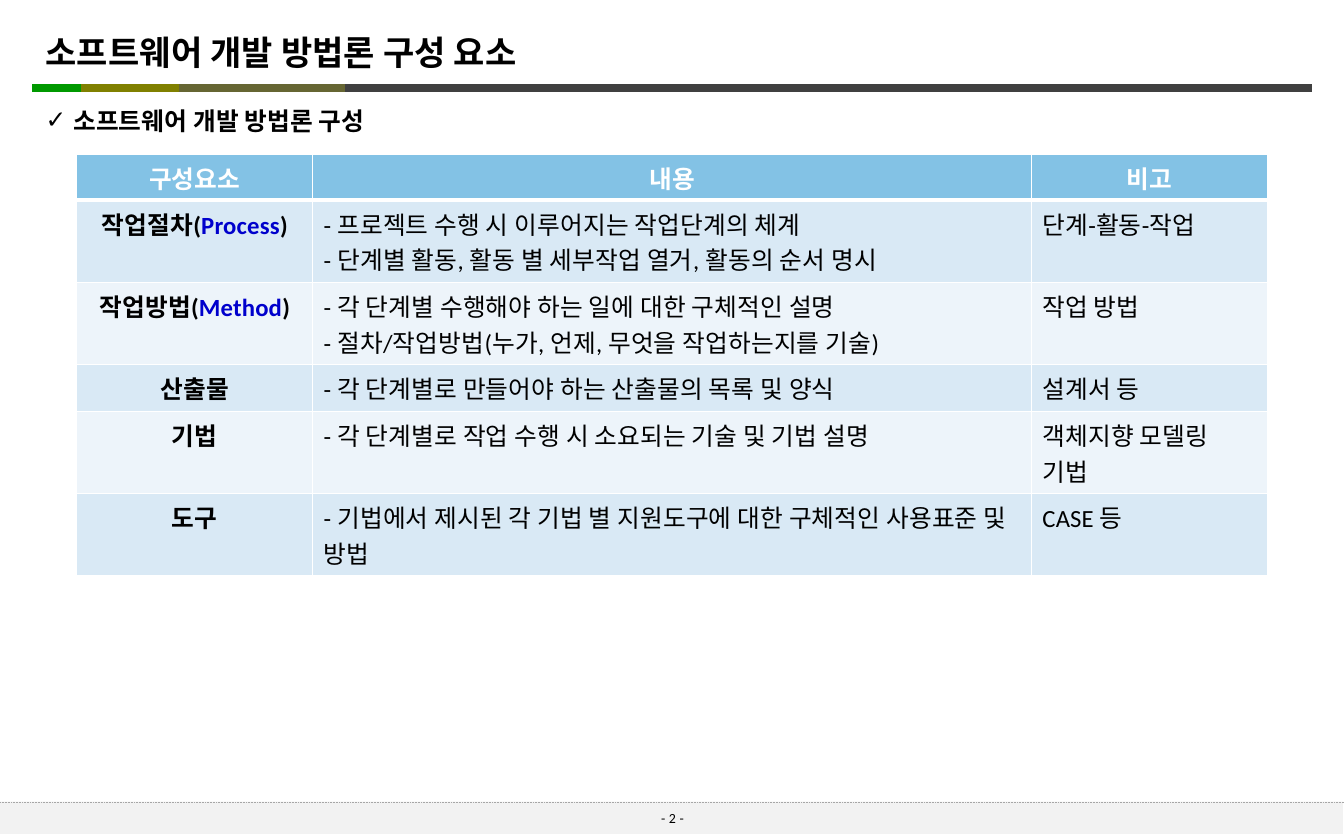
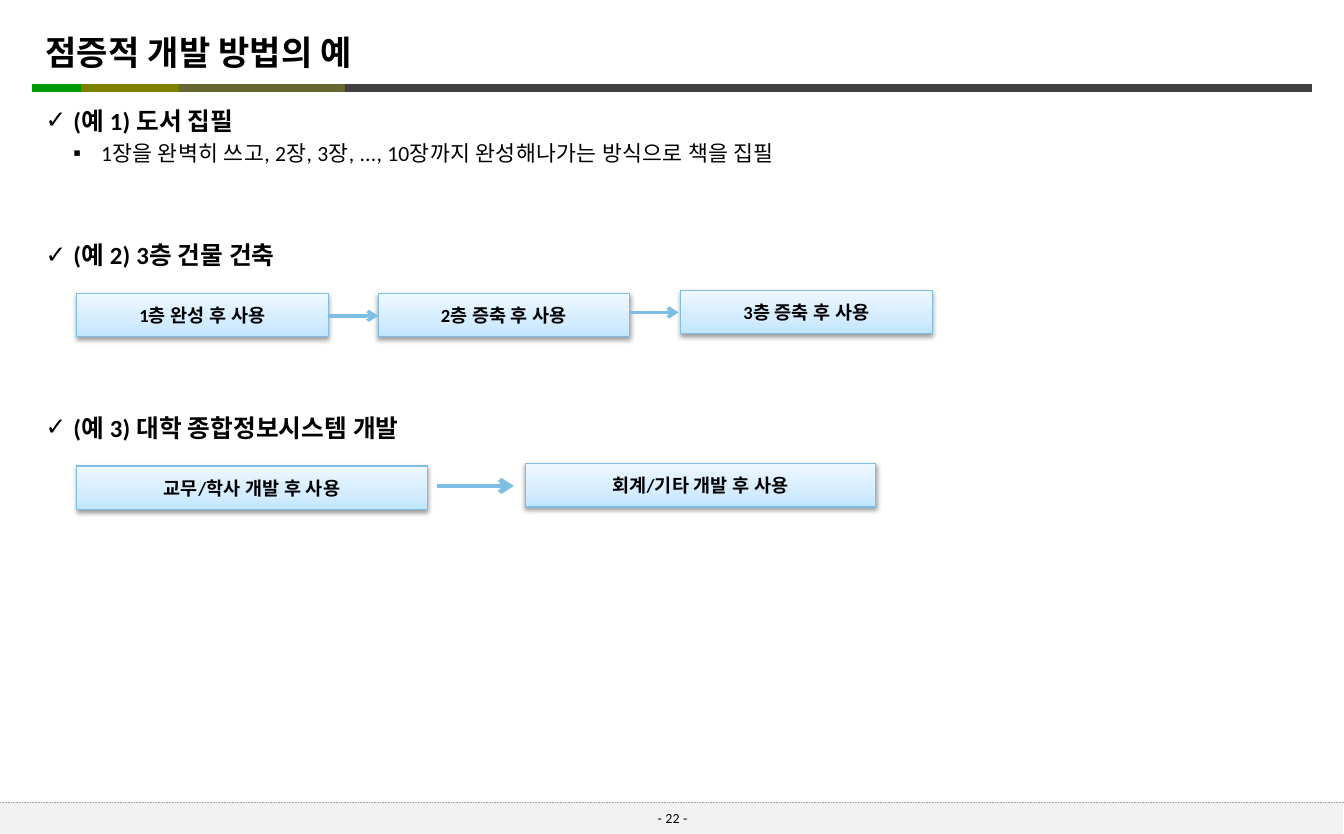
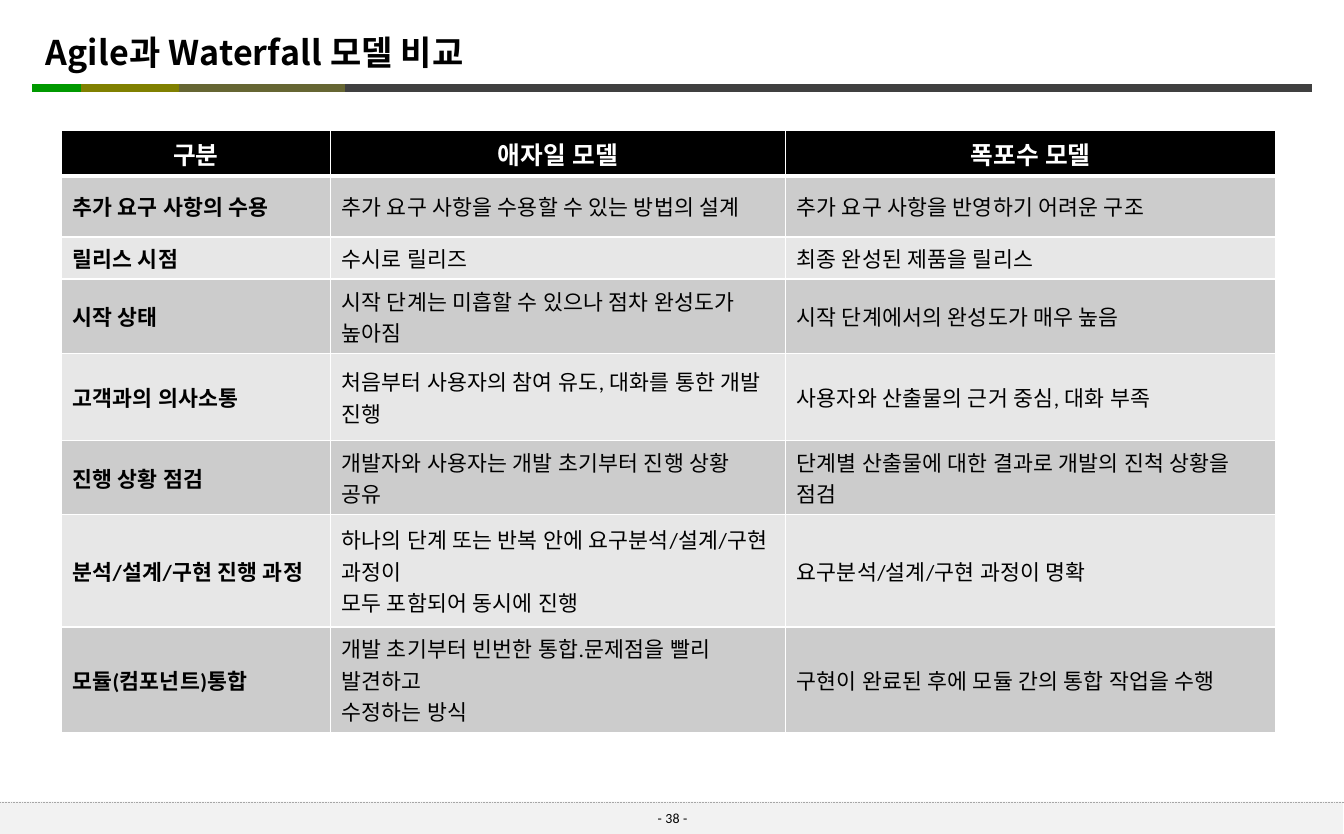
import lxml.etree
import pptx
import pptx.dml.color
import pptx.enum.dml
import pptx.enum.shapes
import pptx.enum.text
import pptx.oxml
import pptx.oxml.ns
import pptx.util

PX = 9144  # one px is a hundredth of an inch
SLIDE_WIDTH, SLIDE_HEIGHT = 1208, 750

LATIN = "Calibri"
KOREAN = "Noto Sans CJK KR"
TRACKING = 15  # hundredths of a point
BLACK, WHITE, KEYWORD = "000000", "FFFFFF", "0000CC"
FOOTER_FILL, FOOTER_LINE = "F2F2F2", "A6A6A6"
FLOW_LINE = "7EBEE2"
FLOW_GRADIENT = [(0, "C1E5FF"), (35, "D3ECFF"), (100, "EEF8FF")]
TITLE_RULE = [(298, 1179, "404040"), (29, 109, "009900"),
              (73, 166, "808000"), (161, 310, "666633")]
BLUE_TABLE = ("83C2E5", "D9E9F5", "EDF4FA")
GRAY_TABLE = ("000000", "CCCCCC", "E7E7E7")

ALIGN = pptx.enum.text.PP_ALIGN
ANCHOR = pptx.enum.text.MSO_ANCHOR
RECTANGLE = pptx.enum.shapes.MSO_SHAPE.RECTANGLE
STRAIGHT = pptx.enum.shapes.MSO_CONNECTOR.STRAIGHT
NAMESPACE = pptx.oxml.ns.nsdecls("a")
qn = pptx.oxml.ns.qn


def px(*lengths):
    return [pptx.util.Emu(length * PX) for length in lengths]


def color(value):
    return pptx.dml.color.RGBColor.from_string(value)


# Text
def style_span(span, size, bold=False, shade=BLACK, latin=LATIN, asian=LATIN):
    span.font.size = pptx.util.Pt(size)
    span.font.bold = bold
    span.font.color.rgb = color(shade)
    span.font.name = latin
    properties = span.font._element
    properties.set("spc", str(TRACKING))
    lxml.etree.SubElement(properties, qn("a:ea")).set("typeface", asian)


def style_para(para, size, align=ALIGN.LEFT, **look):
    para.alignment = align
    for span in para.runs:
        style_span(span, size, **look)


def add_text(page, left, top, width, height, text, inset=4, anchor=ANCHOR.TOP):
    box = page.shapes.add_textbox(*px(left, top, width, height))
    frame = box.text_frame
    frame.word_wrap = True
    frame.vertical_anchor = anchor
    frame.margin_left, frame.margin_top = px(inset, inset)
    frame.margin_right, frame.margin_bottom = px(inset, inset)
    frame.text = text
    return frame


def add_bullet(para, char, margin):
    properties = para._p.get_or_add_pPr()
    properties.set("marL", str(margin * PX))
    properties.set("indent", str(-25 * PX))
    for element in (f'<a:buClr {NAMESPACE}><a:srgbClr val="{BLACK}"/></a:buClr>',
                    f'<a:buFont {NAMESPACE} typeface="{LATIN}"/>',
                    f'<a:buChar {NAMESPACE} char="{char}"/>'):
        properties.append(pptx.oxml.parse_xml(element))


def add_heading(page, top, heading, detail=None):
    """Checked heading, with an optional square-bulleted line below."""
    text = f"{heading}\n{detail}" if detail else heading
    frame = add_text(page, 37, top, 1126, 64 if detail else 35, text)
    levels = [("✓", 25, 16, True), ("▪", 50, 14, False)]
    for para, (char, margin, size, bold) in zip(frame.paragraphs, levels):
        add_bullet(para, char, margin)
        style_para(para, size, bold=bold)
    if detail:
        frame.paragraphs[1].space_before = pptx.util.Pt(3)


# Lines and boxes
def add_line(page, left, right, y, shade, weight, arrow=False, dash=None):
    connector = page.shapes.add_connector(STRAIGHT, *px(left, y, right, y))
    connector.line.color.rgb = color(shade)
    connector.line.width = pptx.util.Pt(weight)
    if dash:
        connector.line.dash_style = dash
    properties = connector._element.spPr
    if arrow:
        outline = properties.find(qn("a:ln"))
        lxml.etree.SubElement(outline, qn("a:tailEnd")).set("type", "arrow")
    lxml.etree.SubElement(properties, qn("a:effectLst"))


def add_rectangle(page, left, top, width, height):
    box = page.shapes.add_shape(RECTANGLE, *px(left, top, width, height))
    box.shadow.inherit = False
    return box


def add_flow_box(page, left, top, width, label):
    box = add_rectangle(page, left, top, width, 39)
    box.fill.gradient()
    box.fill.gradient_angle = 90
    stops = box._element.spPr.find(".//" + qn("a:gsLst"))
    for stop in list(stops):
        stops.remove(stop)
    for position, shade in FLOW_GRADIENT:
        stops.append(pptx.oxml.parse_xml(
            f'<a:gs {NAMESPACE} pos="{position * 1000}">'
            f'<a:srgbClr val="{shade}"/></a:gs>'))
    box.line.color.rgb = color(FLOW_LINE)
    box.line.width = pptx.util.Pt(0.75)
    # Soft shadow straight below the box
    effects = box._element.spPr.find(qn("a:effectLst"))
    effects.append(pptx.oxml.parse_xml(
        f'<a:outerShdw {NAMESPACE} blurRad="40000" dist="20000" dir="5400000" '
        f'rotWithShape="0"><a:srgbClr val="{BLACK}"><a:alpha val="38000"/>'
        '</a:srgbClr></a:outerShdw>'))
    box.text_frame.text = label
    box.text_frame.vertical_anchor = ANCHOR.MIDDLE
    style_para(box.text_frame.paragraphs[0], 12, ALIGN.CENTER, bold=True)


def add_flow(page, width, steps, arrows, weight):
    for left, top, label in steps:
        add_flow_box(page, left, top, width, label)
    for start, end, y in arrows:
        add_line(page, start, end, y, FLOW_LINE, weight, arrow=True)


# Tables
def set_borders(cell, row):
    weights = {"lnL": 1, "lnR": 1, "lnT": 3 if row == 1 else 1,
               "lnB": 3 if row == 0 else 1}
    properties = cell._tc.get_or_add_tcPr()
    for index, (side, weight) in enumerate(weights.items()):
        properties.insert(index, pptx.oxml.parse_xml(
            f'<a:{side} {NAMESPACE} w="{weight * 12700}"><a:solidFill>'
            f'<a:srgbClr val="{WHITE}"/></a:solidFill></a:{side}>'))


def fill_cell(cell, content, size, align, bold, shade):
    """A tuple holds the text before, in and after a coloured keyword."""
    if isinstance(content, tuple):
        para = cell.text_frame.paragraphs[0]
        for part in content:
            para.add_run().text = part
    else:
        cell.text_frame.text = content
    for para in cell.text_frame.paragraphs:
        style_para(para, size, align, bold=bold, shade=shade, asian=KOREAN)
    if isinstance(content, tuple):
        para.runs[1].font.color.rgb = color(KEYWORD)


def add_table(page, left, top, columns, heights, rows, fills, size,
              label_align, anchor):
    frame = page.shapes.add_table(
        len(rows), len(columns),
        *px(left, top, sum(columns), sum(heights)))
    table = frame.table
    table.horz_banding = False
    for column, width in zip(table.columns, columns):
        column.width = px(width)[0]
    for row, (height, contents) in enumerate(zip(heights, rows)):
        table.rows[row].height = px(height)[0]
        header = row == 0
        fill = fills[0] if header else fills[2 - row % 2]
        for column, content in enumerate(contents):
            cell = table.cell(row, column)
            cell.fill.solid()
            cell.fill.fore_color.rgb = color(fill)
            set_borders(cell, row)
            cell.vertical_anchor = ANCHOR.MIDDLE if header else anchor
            label = column == 0
            align = (ALIGN.CENTER if header
                     else label_align if label else ALIGN.LEFT)
            fill_cell(cell, content, 16 if header else size, align,
                      header or label, WHITE if header else BLACK)


# Frame shared by all slides
def add_page(deck, title, number):
    page = deck.slides.add_slide(deck.slide_layouts[6])
    for start, end, shade in TITLE_RULE:
        add_line(page, start, end, 79, shade, 5)

    footer = add_rectangle(page, 0, 721, 1207, 29)
    footer.fill.solid()
    footer.fill.fore_color.rgb = color(FOOTER_FILL)
    footer.line.fill.background()
    frame = add_text(page, 513, 722, 183, 26, f"- {number} -", inset=5)
    frame.paragraphs[0].line_spacing = 1.05
    style_para(frame.paragraphs[0], 9, ALIGN.CENTER)
    add_line(page, 0, SLIDE_WIDTH, 722, FOOTER_LINE, 0.5,
             dash=pptx.enum.dml.MSO_LINE.ROUND_DOT)

    frame = add_text(page, 37, 15, 1000, 63, title, anchor=ANCHOR.MIDDLE)
    style_para(frame.paragraphs[0], 22, bold=True, latin=KOREAN, asian=KOREAN)
    return page


# Slides
def build_components(deck):
    page = add_page(deck, "소프트웨어 개발 방법론 구성 요소", 2)
    add_heading(page, 91, "소프트웨어 개발 방법론 구성")
    rows = [
        ("구성요소", "내용", "비고"),
        (("작업절차(", "Process", ")"),
         "- 프로젝트 수행 시 이루어지는 작업단계의 체계\n"
         "- 단계별 활동, 활동 별 세부작업 열거, 활동의 순서 명시",
         "단계-활동-작업"),
        (("작업방법(", "Method", ")"),
         "- 각 단계별 수행해야 하는 일에 대한 구체적인 설명\n"
         "- 절차/작업방법(누가, 언제, 무엇을 작업하는지를 기술)",
         "작업 방법"),
        ("산출물", "- 각 단계별로 만들어야 하는 산출물의 목록 및 양식",
         "설계서 등"),
        ("기법", "- 각 단계별로 작업 수행 시 소요되는 기술 및 기법 설명",
         "객체지향 모델링 기법"),
        ("도구",
         "- 기법에서 제시된 각 기법 별 지원도구에 대한 구체적인 사용표준 및 방법",
         "CASE 등"),
    ]
    add_table(page, 69, 139, [212, 646, 212], [41, 74, 74, 42, 74, 74], rows,
              BLUE_TABLE, 16, ALIGN.CENTER, ANCHOR.TOP)


def build_examples(deck):
    page = add_page(deck, "점증적 개발 방법의 예", 22)
    add_heading(
        page, 91, "(예 1) 도서 집필",
        "1장을 완벽히 쓰고, 2장, 3장, ..., 10장까지 완성해나가는 방식으로 책을 집필")
    add_heading(page, 212, "(예 2) 3층 건물 건축")
    add_flow(page, 226,
             [(69, 264, "1층 완성 후 사용"), (340, 264, "2층 증축 후 사용"),
              (612, 261, "3층 증축 후 사용")],
             [(295, 340, 284), (566, 610, 281)], 2.25)
    add_heading(page, 367, "(예 3) 대학 종합정보시스템 개발")
    add_flow(page, 315,
             [(69, 419, "교무/학사 개발 후 사용"),
              (472, 417, "회계/기타 개발 후 사용")],
             [(393, 462, 437)], 3)


def build_comparison(deck):
    page = add_page(deck, "Agile과 Waterfall 모델 비교", 38)
    rows = [
        ("구분", "애자일 모델", "폭포수 모델"),
        ("추가 요구 사항의 수용", "추가 요구 사항을 수용할 수 있는 방법의 설계",
         "추가 요구 사항을 반영하기 어려운 구조"),
        ("릴리스 시점", "수시로 릴리즈", "최종 완성된 제품을 릴리스"),
        ("시작 상태", "시작 단계는 미흡할 수 있으나 점차 완성도가 높아짐",
         "시작 단계에서의 완성도가 매우 높음"),
        ("고객과의 의사소통", "처음부터 사용자의 참여 유도, 대화를 통한 개발 진행",
         "사용자와 산출물의 근거 중심, 대화 부족"),
        ("진행 상황 점검", "개발자와 사용자는 개발 초기부터 진행 상황\v공유",
         "단계별 산출물에 대한 결과로 개발의 진척 상황을 점검"),
        ("분석/설계/구현 진행 과정",
         "하나의 단계 또는 반복 안에 요구분석/설계/구현 과정이\n"
         "모두 포함되어 동시에 진행",
         "요구분석/설계/구현 과정이 명확"),
        ("모듈(컴포넌트)통합",
         "개발 초기부터 빈번한 통합.문제점을 빨리 발견하고\n수정하는 방식",
         "구현이 완료된 후에 모듈 간의 통합 작업을 수행"),
    ]
    add_table(page, 55, 117, [242, 409, 441],
              [41, 55, 38, 67, 78, 67, 101, 95], rows,
              GRAY_TABLE, 14, ALIGN.LEFT, ANCHOR.MIDDLE)


def main():
    deck = pptx.Presentation()
    deck.slide_width, deck.slide_height = px(SLIDE_WIDTH, SLIDE_HEIGHT)
    build_components(deck)
    build_examples(deck)
    build_comparison(deck)
    deck.save("out.pptx")


if __name__ == "__main__":
    main()
